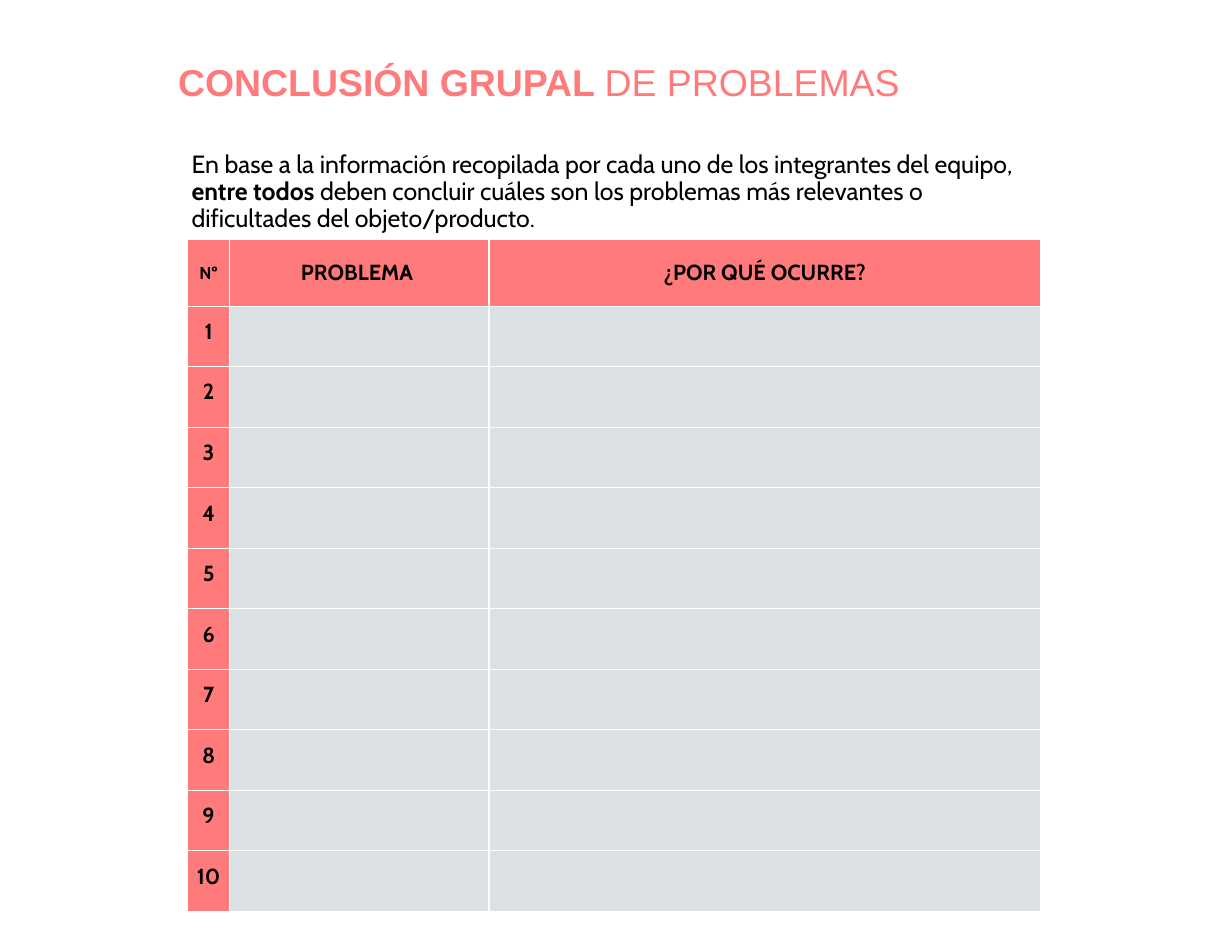
from lxml.etree import SubElement
from pptx import Presentation
from pptx.dml.color import RGBColor
from pptx.enum.text import MSO_ANCHOR as Anchor, PP_ALIGN as Align
from pptx.oxml.ns import qn
from pptx.util import Cm, Inches, Pt

SLIDE_WIDTH, SLIDE_HEIGHT = Cm(27.9), Cm(21.5)
CORAL, SLATE, BLACK, WHITE = "FF7A7A", "78909C", "000000", "FFFFFF"
SLATE_OPACITY = 27

# Each run is (text, bold)
HEADING = [("CONCLUSIÓN GRUPAL ", True), ("DE PROBLEMAS", False)]
INSTRUCTIONS = [
    ("En base a la información recopilada por cada uno de los integrantes del equipo, ", False),
    ("entre todos ", True),
    ("deben concluir cuáles son los problemas más relevantes o dificultades del objeto/producto.", False),
]
# Each column is (header, header size, width)
COLUMNS = [("Nº", 11, 0.38), ("PROBLEMA ", 14, 2.31), ("¿POR QUÉ OCURRE?", 14, 4.92)]
PROBLEM_COUNT = 10
HEADER_HEIGHT, PROBLEM_HEIGHT = 0.59, 0.54
TABLE_LEFT, TABLE_TOP = 1.67, 2.14


def color(hex_string):
    return RGBColor.from_string(hex_string)


def add_runs(paragraph, runs, font_name, size, hex_string):
    for text, bold in runs:
        run = paragraph.add_run()
        run.text = text
        run.font.name = font_name
        run.font.size = Pt(size)
        run.font.bold = bold
        run.font.color.rgb = color(hex_string)


def add_text(slide, box, runs, font_name, size, hex_string, anchor, vertical_inset, line_spacing):
    frame = slide.shapes.add_textbox(*map(Inches, box)).text_frame
    frame.word_wrap = True
    frame.vertical_anchor = anchor
    frame.margin_left = frame.margin_right = Inches(0.1)
    frame.margin_top = frame.margin_bottom = Inches(vertical_inset)
    paragraph = frame.paragraphs[0]
    paragraph.line_spacing = line_spacing
    add_runs(paragraph, runs, font_name, size, hex_string)


def style_cell(cell, hex_string, opacity=100):
    """Give the cell thin white borders and a fill of the given opacity in percent."""
    properties = cell._tc.get_or_add_tcPr()
    for side in ("a:lnL", "a:lnR", "a:lnT", "a:lnB"):
        line = SubElement(properties, qn(side), w=str(Pt(0.75)))
        SubElement(SubElement(line, qn("a:solidFill")), qn("a:srgbClr"), val=WHITE)
    cell.fill.solid()
    cell.fill.fore_color.rgb = color(hex_string)
    if opacity < 100:
        fill_color = properties.find(qn("a:solidFill")).find(qn("a:srgbClr"))
        SubElement(fill_color, qn("a:alpha"), val=str(opacity * 1000))


def label_cell(cell, text, size, anchor):
    cell.margin_left = cell.margin_right = Inches(0.08)
    cell.margin_top = cell.margin_bottom = Inches(0.11)
    cell.vertical_anchor = anchor
    paragraph = cell.text_frame.paragraphs[0]
    paragraph.alignment = Align.CENTER
    add_runs(paragraph, [(text, True)], "Cabin", size, BLACK)


def add_problem_table(slide):
    width = sum(column_width for _, _, column_width in COLUMNS)
    height = HEADER_HEIGHT + PROBLEM_COUNT * PROBLEM_HEIGHT
    table = slide.shapes.add_table(
        PROBLEM_COUNT + 1, len(COLUMNS),
        *map(Inches, (TABLE_LEFT, TABLE_TOP, width, height))).table
    for number, row in enumerate(table.rows):
        row.height = Inches(PROBLEM_HEIGHT if number else HEADER_HEIGHT)
    for index, (header, size, column_width) in enumerate(COLUMNS):
        table.columns[index].width = Inches(column_width)
        style_cell(table.cell(0, index), CORAL)
        label_cell(table.cell(0, index), header, size, Anchor.MIDDLE)
        for number in range(1, PROBLEM_COUNT + 1):
            cell = table.cell(number, index)
            if index == 0:
                style_cell(cell, CORAL)
                label_cell(cell, str(number), 14, Anchor.TOP)
            else:
                style_cell(cell, SLATE, SLATE_OPACITY)


def main():
    presentation = Presentation()
    presentation.slide_width = SLIDE_WIDTH
    presentation.slide_height = SLIDE_HEIGHT
    slide = presentation.slides.add_slide(presentation.slide_layouts[6])
    slide.background.fill.solid()
    slide.background.fill.fore_color.rgb = color(WHITE)
    add_text(slide, (1.49, 0.37, 7.81, 0.72), HEADING, "Arial", 24, CORAL, Anchor.MIDDLE, 0.1, 1.0)
    add_problem_table(slide)
    add_text(slide, (1.61, 1.31, 7.68, 0.38), INSTRUCTIONS, "Cabin", 16, BLACK, Anchor.TOP, 0.05, 0.9)
    presentation.save("out.pptx")


if __name__ == "__main__":
    main()
